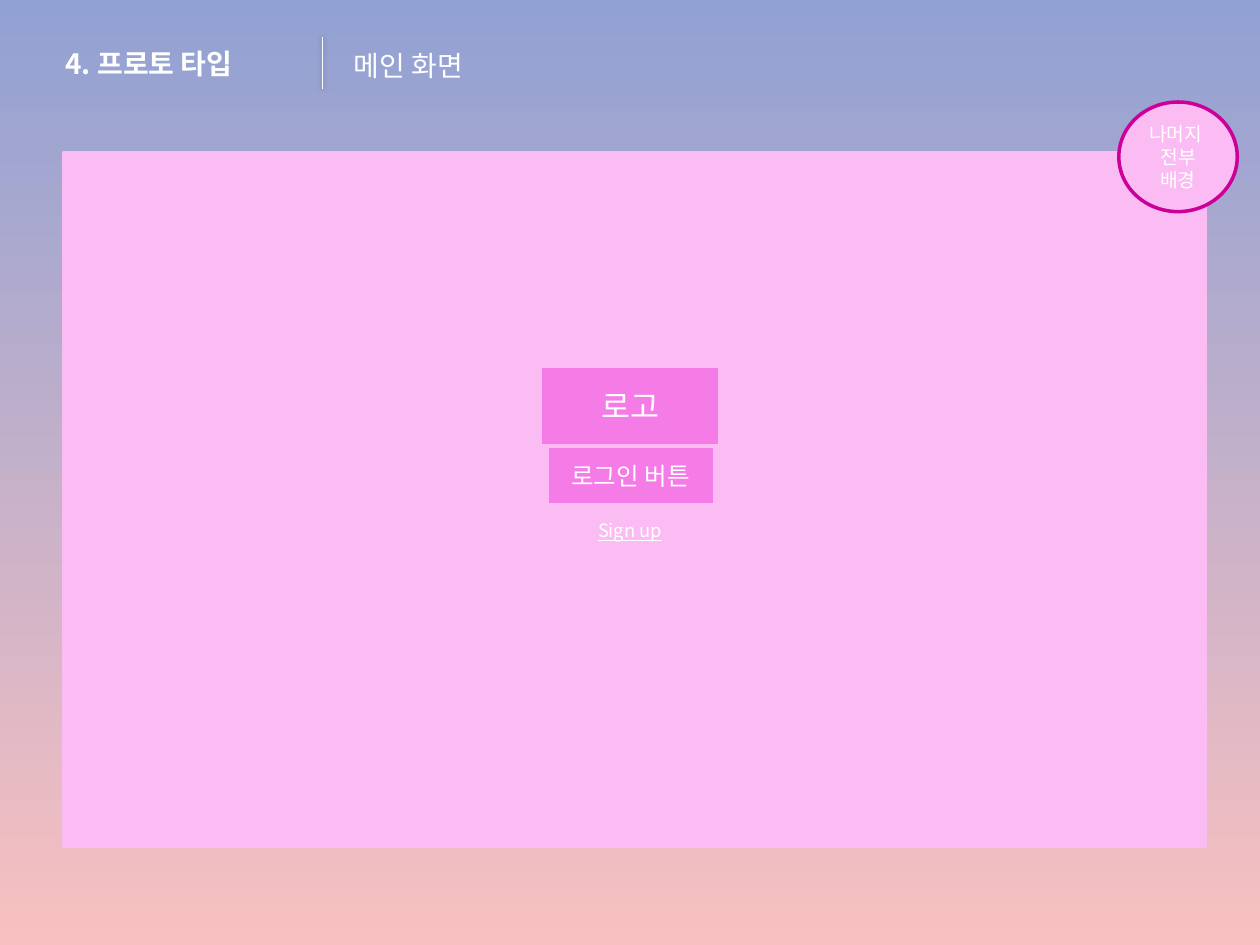
import pptx
import pptx.util
import pptx.dml.color
import pptx.enum.shapes
import pptx.enum.text
import pptx.oxml
import pptx.oxml.ns

Inches, Pt = pptx.util.Inches, pptx.util.Pt
Kind = pptx.enum.shapes.MSO_SHAPE
Align = pptx.enum.text.PP_ALIGN
Anchor = pptx.enum.text.MSO_ANCHOR

THEME = {
    "font": "Noto Sans CJK KR",
    "top": "91A1D3", "base": "F8C0C0",
    "white": "FFFFFF", "panel": "FABCF3", "button": "F57BE6", "ring": "CC0099",
    "head": 16, "logo": 18, "login": 14, "badge": 11, "link": 10.5,
    "edge": 2, "rule": 1,
}

TITLE = ("4. 프로토 타입", (0.42, 0.32, 2.29, 0.37))
TOPIC = ("메인 화면", (2.71, 0.34, 7.11, 0.37))
LINK = ("Sign up", (4.44, 4.07, 1.12, 0.47))
RULE = (2.56, 0.29, 2.56, 0.71)
# preset, box, fill, edge, lines of text, size
SHAPES = [
    (Kind.RECTANGLE, (0.51, 1.21, 9.06, 5.51), "panel", "panel", [], None),
    (Kind.RECTANGLE, (4.29, 2.91, 1.42, 0.63), "button", "panel", ["로고"], "logo"),
    (Kind.RECTANGLE, (4.34, 3.54, 1.33, 0.47), "button", "panel", ["로그인 버튼"], "login"),
    (Kind.OVAL, (8.88, 0.81, 0.94, 0.87), "panel", "ring", ["나머지 ", "전부 배경"], "badge"),
]


def color(name):
    return pptx.dml.color.RGBColor.from_string(THEME[name])


def inches(box):
    return [Inches(n) for n in box]


def glow(blur, alpha):
    """Return an effect list with a soft black shadow."""
    return pptx.oxml.parse_xml(
        f'<a:effectLst {pptx.oxml.ns.nsdecls("a")}>'
        f'<a:outerShdw blurRad="{Pt(blur)}" dist="0" dir="0" algn="ctr" rotWithShape="0">'
        f'<a:srgbClr val="000000"><a:alpha val="{alpha * 1000}"/></a:srgbClr>'
        '</a:outerShdw></a:effectLst>')


def write(shape, lines, size, bold=False, under=False, shade=False,
          align=Align.CENTER, anchor=Anchor.TOP):
    frame = shape.text_frame
    frame.word_wrap = True
    frame.vertical_anchor = anchor
    frame.auto_size = pptx.enum.text.MSO_AUTO_SIZE.NONE
    for i, line in enumerate(lines):
        para = frame.add_paragraph() if i else frame.paragraphs[0]
        para.alignment = align
        run = para.add_run()
        run.text = line
        font = run.font
        font.name, font.size = THEME["font"], Pt(THEME[size])
        font.bold, font.underline = bold, under
        font.color.rgb = color("white")
        props = run._r.get_or_add_rPr()
        latin = props.find(pptx.oxml.ns.qn("a:latin"))
        latin.addnext(pptx.oxml.parse_xml(
            f'<a:ea {pptx.oxml.ns.nsdecls("a")} typeface="{THEME["font"]}"/>'))
        if shade:
            latin.addprevious(glow(4, 40))


def paint(slide):
    fill = slide.background.fill
    fill.gradient()
    fill.gradient_angle = 270
    for stop, place, name in zip(fill.gradient_stops, (0, 1), ("top", "base")):
        stop.position = place
        stop.color.rgb = color(name)


def main():
    deck = pptx.Presentation()
    deck.slide_width, deck.slide_height = Inches(10), Inches(7.5)
    slide = deck.slides.add_slide(deck.slide_layouts[5])
    shapes = slide.shapes
    paint(slide)

    title = shapes.title
    text, box = TITLE
    title.left, title.top, title.width, title.height = inches(box)
    write(title, [text], "head", bold=True, shade=True, align=Align.LEFT)
    text, box = TOPIC
    write(shapes.add_textbox(*inches(box)), [text], "head", shade=True, align=Align.LEFT)

    rule = shapes.add_connector(pptx.enum.shapes.MSO_CONNECTOR.STRAIGHT, *inches(RULE))
    rule.line.color.rgb = color("white")
    rule.line.width = Pt(THEME["rule"])
    rule._element.spPr.append(glow(3, 20))

    for kind, box, fill, edge, lines, size in SHAPES:
        shape = shapes.add_shape(kind, *inches(box))
        shape.shadow.inherit = False
        shape.fill.solid()
        shape.fill.fore_color.rgb = color(fill)
        shape.line.color.rgb = color(edge)
        shape.line.width = Pt(THEME["edge"])
        write(shape, lines, size, anchor=Anchor.MIDDLE)

    text, box = LINK
    write(shapes.add_textbox(*inches(box)), [text], "link", under=True)
    deck.save("out.pptx")


if __name__ == "__main__":
    main()
